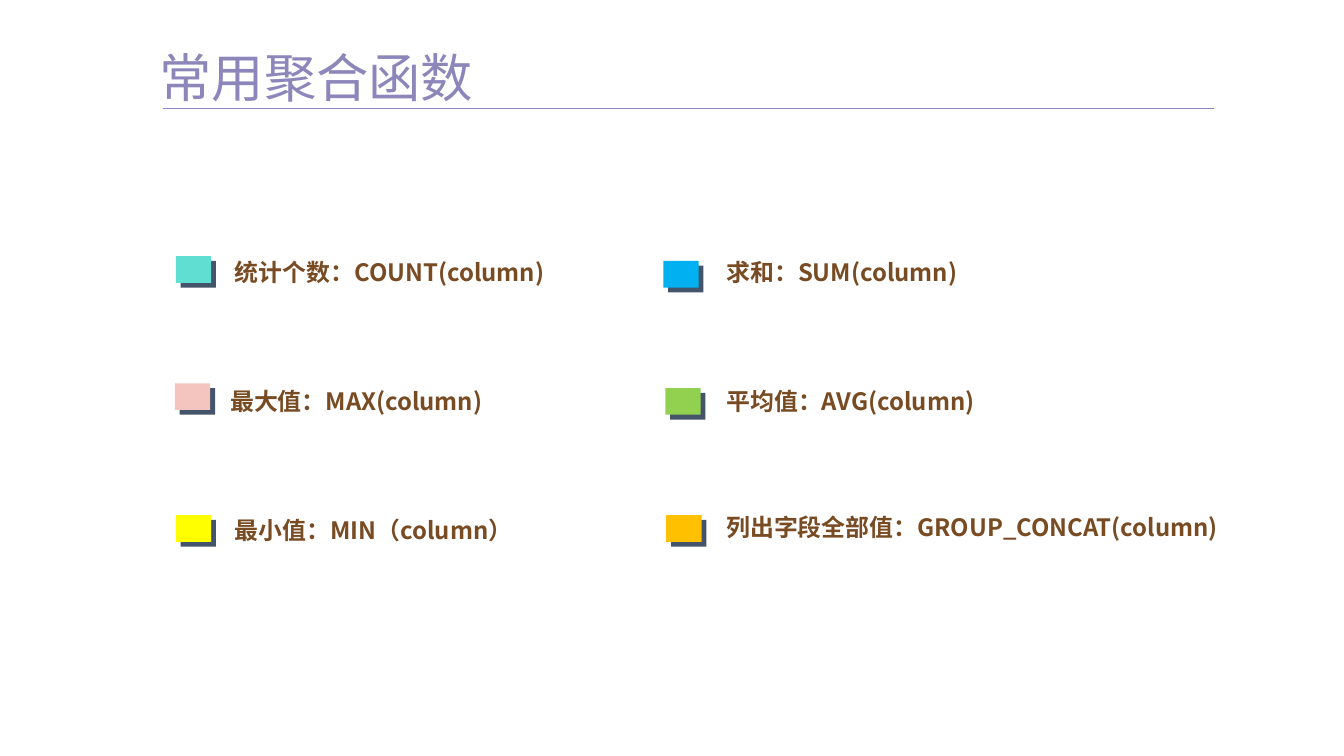
from lxml import etree
from pptx import Presentation
from pptx import util as u
from pptx.dml.color import RGBColor
from pptx.enum import shapes, text

FONT = "Noto Sans CJK SC"
PURPLE, BROWN, SLATE = "8D86BA", "784B23", "44546A"
DRAWING = "http://schemas.openxmlformats.org/drawingml/2006/main"

FUNCTIONS = [
    ("统计个数：COUNT(column)", "5FDED1", (1.84, 2.68), (2.36, 2.73), 3.94),
    ("最大值：MAX(column)", "F3C5BE", (1.83, 4.01), (2.31, 4.08), 3.2),
    ("最小值：MIN（column）", "FFFF00", (1.84, 5.39), (2.36, 5.43), 3.13),
    ("求和：SUM(column)", "00B0F0", (6.94, 2.73), (7.5, 2.73), 3.21),
    ("平均值：AVG(column)", "92D050", (6.96, 4.06), (7.5, 4.08), 3.09),
    ("列出字段全部值：GROUP_CONCAT(column)", "FFC000", (6.97, 5.39), (7.5, 5.39), 5.36),
]


def color(value):
    """Turn a hex string into a colour."""
    return RGBColor.from_string(value)


def add_text(page, words, left, top, width, height, *, size, ink,
             bold=False, spacing=None, inset=(0.1, 0.05)):
    """Add a wrapped, top-anchored text box."""
    box = page.shapes.add_textbox(*map(u.Inches, (left, top, width, height)))
    frame = box.text_frame
    frame.word_wrap = True
    frame.auto_size = text.MSO_AUTO_SIZE.SHAPE_TO_FIT_TEXT
    frame.margin_left = frame.margin_right = u.Inches(inset[0])
    frame.margin_top = frame.margin_bottom = u.Inches(inset[1])
    para = frame.paragraphs[0]
    if spacing:
        para.line_spacing = u.Pt(spacing)
    span = para.add_run()
    span.text = words
    span.font.name = FONT
    span.font.size = u.Pt(size)
    span.font.bold = bold
    span.font.color.rgb = color(ink)
    east_asian = etree.SubElement(span.font._element, f"{{{DRAWING}}}ea")
    east_asian.set("typeface", FONT)


def add_heading(page, left, top, width):
    """Add the title and the rule below it."""
    add_text(page, "常用聚合函数", left, top, 3.94, 0.66,
             size=39.4, ink=PURPLE, inset=(0, 0))
    start, level = left + 0.03, top + 0.66
    rule = page.shapes.add_connector(
        shapes.MSO_CONNECTOR.STRAIGHT,
        *map(u.Inches, (start, level, start + width, level)))
    rule.line.color.rgb = color(PURPLE)
    rule.line.width = u.Pt(0.5)
    etree.SubElement(rule._element.spPr, f"{{{DRAWING}}}effectLst")


def add_marker(page, left, top, fill):
    """Add a coloured block over its offset slate block."""
    marker = page.shapes.add_group_shape()
    for offset, tint in ((0.05, SLATE), (0, fill)):
        block = marker.shapes.add_shape(
            shapes.MSO_SHAPE.RECTANGLE,
            *map(u.Inches, (left + offset, top + offset, 0.37, 0.28)))
        block.shadow.inherit = False
        block.fill.solid()
        block.fill.fore_color.rgb = color(tint)
        block.line.fill.background()


def add_function(page, words, fill, marker_at, label_at, width):
    """Add one aggregate function with its marker."""
    add_marker(page, *marker_at, fill)
    add_text(page, words, *label_at, width, 0.33,
             size=18, ink=BROWN, bold=True, spacing=15.8)


def main():
    """Build and save the slide."""
    deck = Presentation()
    deck.slide_width, deck.slide_height = u.Inches(14.06), u.Inches(7.91)
    page = deck.slides.add_slide(deck.slide_layouts[6])
    add_heading(page, 1.67, 0.47, 11)
    for function in FUNCTIONS:
        add_function(page, *function)
    deck.save("out.pptx")


if __name__ == "__main__":
    main()
